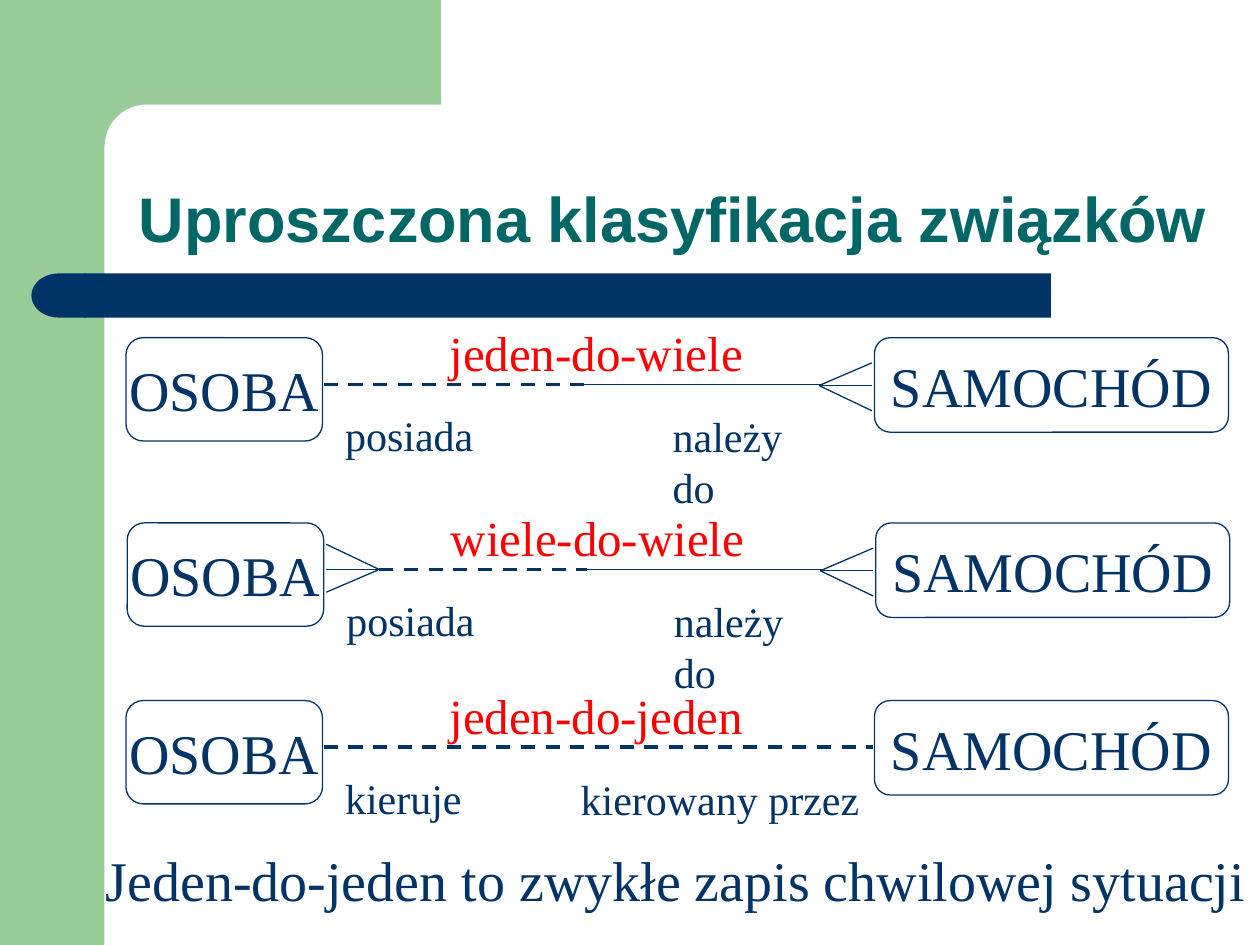
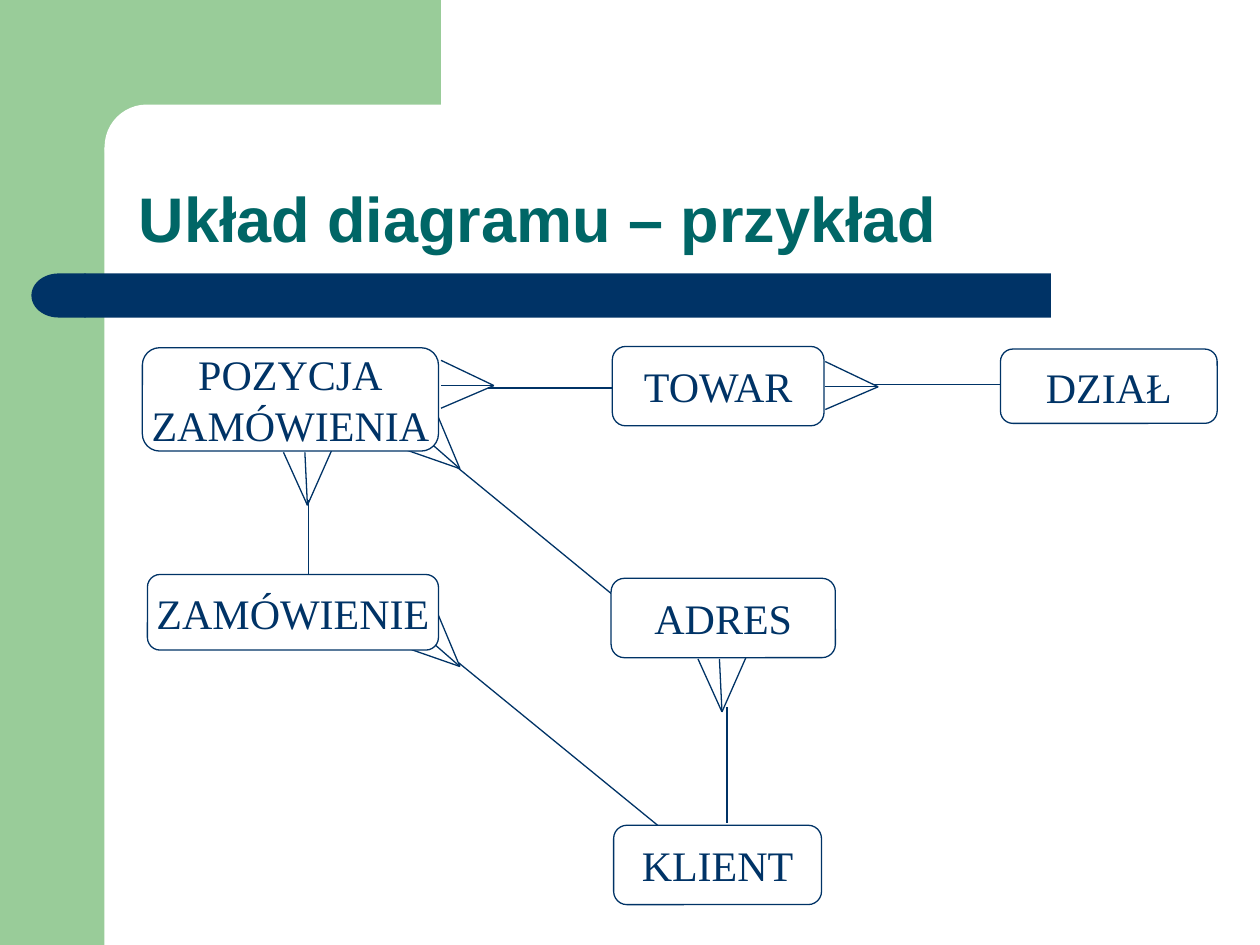
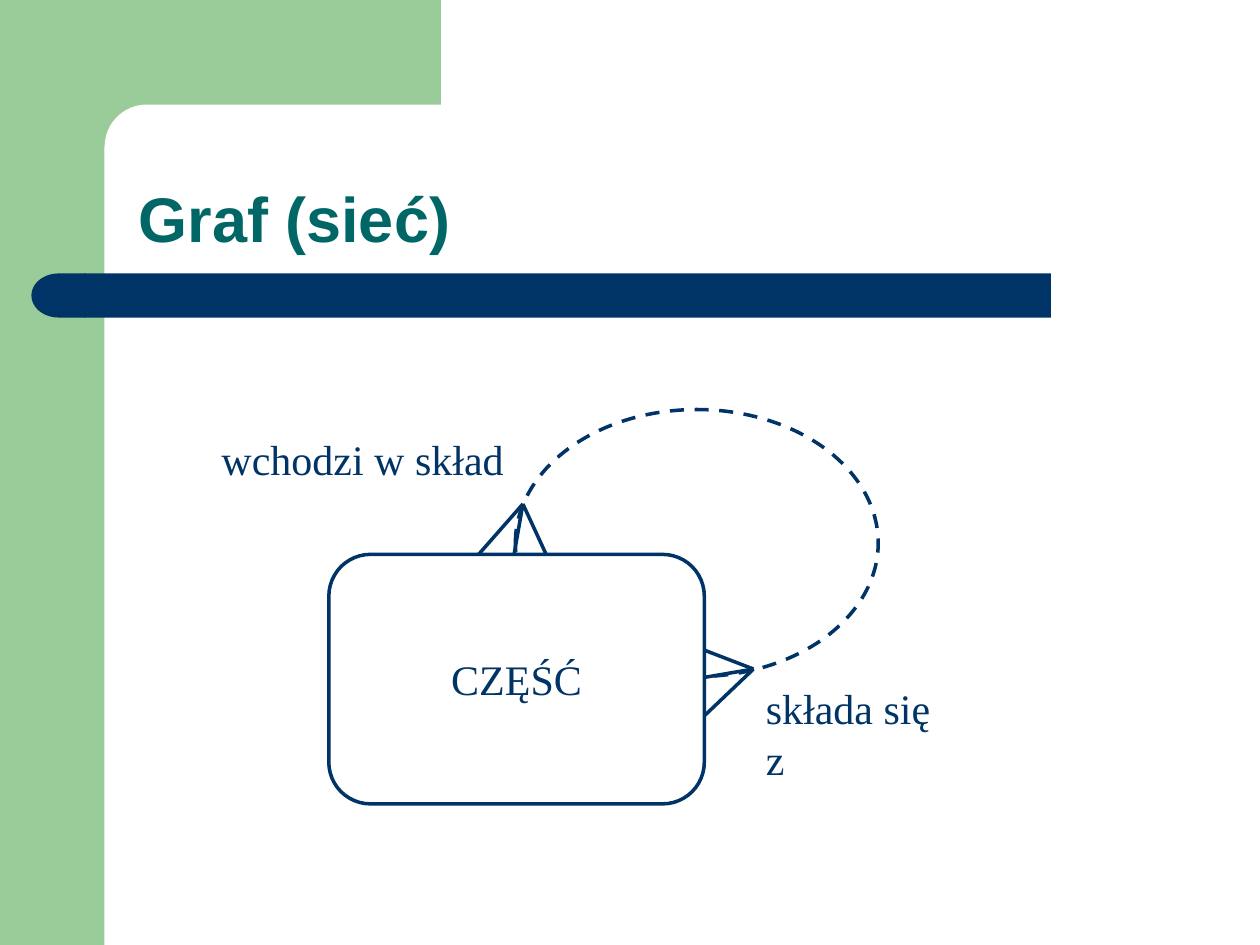
import lxml.etree
import pptx
import pptx.dml.color
import pptx.enum.dml
import pptx.enum.shapes
import pptx.enum.text
import pptx.oxml.ns
import pptx.util

EMU_PER_PX = 9144  # 100 px to the inch
SLIDE_WIDTH, SLIDE_HEIGHT = 1000, 750
TITLE_ONLY_LAYOUT = 5

NAVY = pptx.dml.color.RGBColor(0x00, 0x33, 0x66)
TEAL = pptx.dml.color.RGBColor(0x00, 0x66, 0x66)
GREEN = pptx.dml.color.RGBColor(0x99, 0xCC, 0x99)
RED = pptx.dml.color.RGBColor(0xFF, 0x00, 0x00)
WHITE = pptx.dml.color.RGBColor(0xFF, 0xFF, 0xFF)

SHAPES = pptx.enum.shapes.MSO_SHAPE
ALIGN = pptx.enum.text.PP_ALIGN
ANCHOR = pptx.enum.text.MSO_ANCHOR
AUTO_SIZE = pptx.enum.text.MSO_AUTO_SIZE
DASH = pptx.enum.dml.MSO_LINE.DASH

THIN, THICK = 0.75, 2
CORNER = 0.167

TITLE_FRAME = {"vertical_anchor": ANCHOR.BOTTOM, "word_wrap": True, "auto_size": AUTO_SIZE.NONE}
BOX_FRAME = {"vertical_anchor": ANCHOR.MIDDLE, "word_wrap": False}
LABEL_FRAME = {"vertical_anchor": ANCHOR.TOP, "word_wrap": False,
               "auto_size": AUTO_SIZE.SHAPE_TO_FIT_TEXT}
TITLE_PARAGRAPH = {"alignment": ALIGN.LEFT, "line_spacing": 0.9}

# Toe positions of a crow's foot, measured from its tip
TOES_LEFT = [(-42, 0), (-42, -20), (-42, 18)]
TOES_RIGHT = [(42, 0), (42, 20), (42, -18)]
TOES_UP = [(-2, -42), (19, -43), (-19, -42)]
TOES_UP_LEFT = [(-32, -28), (-18, -43), (-43, -15)]


def px(*lengths):
    return [pptx.util.Emu(length * EMU_PER_PX) for length in lengths]


def assign(target, values):
    for name, value in values.items():
        setattr(target, name, value)


class Deck:
    def __init__(self):
        self.presentation = pptx.Presentation()
        width, height = px(SLIDE_WIDTH, SLIDE_HEIGHT)
        assign(self.presentation, {"slide_width": width, "slide_height": height})
        self.layout = self.presentation.slide_layouts[TITLE_ONLY_LAYOUT]
        self.slide = None

    def add_slide(self, title):
        first = self.slide is None
        self.slide = self.presentation.slides.add_slide(self.layout)
        if first:
            self.decorate_layout()
        placeholder = self.slide.shapes.title
        left, top, width, height = px(100, 83, 875, 125)
        assign(placeholder, {"left": left, "top": top, "width": width, "height": height})
        self.set_text(placeholder, title, 36, TEAL, TITLE_FRAME, TITLE_PARAGRAPH,
                      {"name": "Arial", "bold": True})

    def decorate_layout(self):
        """Draw the bands on the current slide and move them behind the layout's title."""
        bands = [
            self.shape(SHAPES.RECTANGLE, (0, 0, 83, 750), GREEN),
            self.shape(SHAPES.RECTANGLE, (75, 0, 275, 117), GREEN),
            self.shape(SHAPES.ROUNDED_RECTANGLE, (83, 83, 558, 67), WHITE, corner=0.5),
            self.shape(SHAPES.ROUNDED_RECTANGLE, (67, 217, 767, 35), NAVY, corner=0),
            self.shape(SHAPES.FLOWCHART_DELAY, (25, 217, 43, 35), NAVY),
        ]
        bands[-1].element.spPr.find(pptx.oxml.ns.qn("a:xfrm")).set("flipH", "1")
        for position, band in enumerate(bands, start=2):
            self.layout.shapes.element.insert(position, band.element)

    def set_text(self, shape, text, size, color, frame, paragraph_format, font_format):
        assign(shape.text_frame, frame)
        shape.text_frame.text = text
        for paragraph in shape.text_frame.paragraphs:
            assign(paragraph, paragraph_format)
            font = paragraph.runs[0].font
            assign(font, {"size": pptx.util.Pt(size), **font_format})
            font.color.rgb = color

    def shape(self, kind, area, fill=None, weight=None, dash=None, corner=None):
        shape = self.slide.shapes.add_shape(kind, *px(*area))
        shape.shadow.inherit = False
        if corner is not None:
            shape.adjustments[0] = corner
        if fill is None:
            shape.fill.background()
        else:
            shape.fill.solid()
            shape.fill.fore_color.rgb = fill
        if weight is None:
            shape.line.fill.background()
        else:
            self.stroke(shape.line, weight, dash)
        return shape

    def stroke(self, line, weight, dash):
        line.color.rgb = NAVY
        assign(line, {"width": pptx.util.Pt(weight), "dash_style": dash})

    def entity(self, text, area, size=24, fill=None, weight=THIN):
        box = self.shape(SHAPES.ROUNDED_RECTANGLE, area, fill, weight, corner=CORNER)
        self.set_text(box, text, size, NAVY, BOX_FRAME, {"alignment": ALIGN.CENTER},
                      {"name": "Times New Roman"})

    def label(self, text, area, size=24, color=NAVY):
        box = self.slide.shapes.add_textbox(*px(*area))
        self.set_text(box, text, size, color, LABEL_FRAME, {"alignment": ALIGN.LEFT},
                      {"name": "Times New Roman"})

    def line(self, start, end, weight=THIN, dash=None):
        connector = self.slide.shapes.add_connector(
            pptx.enum.shapes.MSO_CONNECTOR.STRAIGHT, *px(*start, *end))
        self.stroke(connector.line, weight, dash)
        lxml.etree.SubElement(connector.element.spPr, pptx.oxml.ns.qn("a:effectLst"))

    def crow_foot(self, tip, toes, weight=THIN):
        for dx, dy in toes:
            self.line((tip[0] + dx, tip[1] + dy), tip, weight)


def relationship_row(deck, x, y, kind, left_role, right_role, right_area, many_left, many_right):
    """Draw OSOBA and SAMOCHÓD with their link; x and y shift the whole row."""
    middle = y + 37
    if many_right:
        deck.crow_foot((x + 550, middle + 1), TOES_RIGHT)
        deck.line((x + 363, middle), (x + 553, middle))
    if many_left:
        deck.crow_foot((x + 200, middle), TOES_LEFT)
    dash_start = 200 if many_left else 157
    dash_end = 365 if many_right else 593
    deck.line((x + dash_start, middle), (x + dash_end, middle), THICK, DASH)
    deck.entity("OSOBA", (x, y, 156, 82), 32)
    deck.entity("SAMOCHÓD", (x + 594, y, 281, 75), 32)
    right_left, right_width = right_area
    deck.label(right_role, (x + right_left, y + 53, right_width, 50))
    deck.label(left_role, (x + 164, y + 52, 122, 50))
    deck.label(kind, (x + 247, y - 17, 253, 57), 28, RED)


def classification_slide(deck):
    deck.add_slide("Uproszczona klasyfikacja związków")
    belongs_area, driven_area = (424, 148), (351, 241)
    rows = [
        (100, 268, "jeden-do-wiele", "posiada", "należy do", belongs_area, False, True),
        (101, 415, "wiele-do-wiele", "posiada", "należy do", belongs_area, True, True),
        (100, 556, "jeden-do-jeden", "kieruje", "kierowany przez", driven_area, False, False),
    ]
    for row in rows:
        relationship_row(deck, *row)
    deck.label("Jeden-do-jeden to zwykłe zapis chwilowej sytuacji", (74, 666, 926, 64), 32)


def diagram_slide(deck):
    deck.add_slide("Układ diagramu – przykład")
    links = [
        ((392, 306), TOES_LEFT, (387, 308), (487, 308)),
        ((697, 307), TOES_LEFT, (693, 305), (794, 305)),
        ((244, 401), TOES_UP, (245, 397), (245, 456)),
        ((573, 565), TOES_UP, (577, 561), (577, 653)),
        ((365, 372), TOES_UP_LEFT, (363, 371), (485, 471)),
        ((365, 529), TOES_UP_LEFT, (364, 526), (522, 655)),
    ]
    for tip, toes, start, end in links:
        deck.crow_foot(tip, toes)
        deck.line(start, end)
    entities = [
        ("POZYCJA\nZAMÓWIENIA", (113, 276, 235, 82)),
        ("TOWAR", (486, 275, 168, 63)),
        ("DZIAŁ", (794, 277, 172, 59)),
        ("ZAMÓWIENIE", (117, 456, 231, 60)),
        ("ADRES", (485, 459, 178, 63)),
        ("KLIENT", (487, 655, 165, 63)),
    ]
    for text, area in entities:
        deck.entity(text, area, fill=WHITE)


def graph_slide(deck):
    deck.add_slide("Graf (sieć)")
    deck.shape(SHAPES.OVAL, (409, 325, 288, 212), weight=THICK, dash=DASH)
    deck.crow_foot((598, 531), [(-47, 8), (-42, 40), (-52, -20)], THICK)
    deck.crow_foot((415, 400), [(-8, 46), (24, 52), (-36, 41)], THICK)
    deck.entity("CZĘŚĆ", (261, 440, 298, 198), fill=WHITE, weight=THICK)
    deck.label("składa się z", (598, 537, 173, 50))
    deck.label("wchodzi w skład", (166, 339, 244, 50))


def main():
    deck = Deck()
    classification_slide(deck)
    diagram_slide(deck)
    graph_slide(deck)
    deck.presentation.save("out.pptx")


if __name__ == "__main__":
    main()
